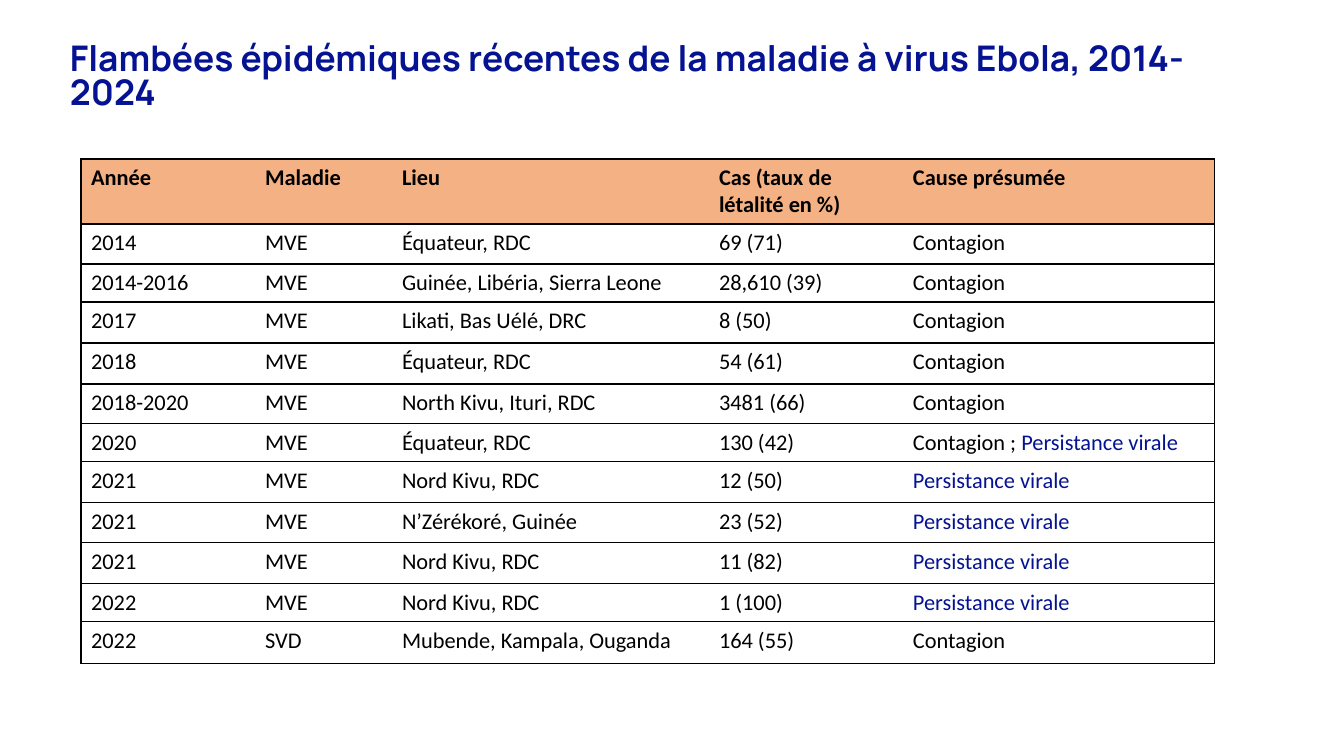
from lxml import etree
from pptx import Presentation
from pptx.dml.color import RGBColor
from pptx.enum.text import MSO_ANCHOR
from pptx.oxml.ns import qn
from pptx.util import Pt

EMU_PER_PX = 914400 / 100.8
MIDDLE = MSO_ANCHOR.MIDDLE
BLANK_LAYOUT = 6

NAVY = RGBColor(0x05, 0x12, 0x91)
BLACK = RGBColor(0x00, 0x00, 0x00)
PEACH = RGBColor(0xF4, 0xB1, 0x83)

TITLE = "Flambées épidémiques récentes de la maladie à virus Ebola, 2014-2024"
TITLE_FONT = {"name": "Manrope", "size": Pt(25.2), "bold": True}
HEADER_FONT = {"name": "Calibri", "size": Pt(16), "bold": True}
BODY_FONT = {**HEADER_FONT, "bold": False}

PERSISTENCE = "Persistance virale"
COLUMN_WIDTHS = (174, 137, 317, 194, 312)
ROW_HEIGHTS = (65, 40, 38, 41, 41, 40, 38, 41, 40, 41, 38, 42)
OUTBREAKS = (
    ("Année", "Maladie", "Lieu", "Cas (taux de létalité en %)", "Cause présumée"),
    ("2014", "MVE", "Équateur, RDC", "69 (71)", "Contagion"),
    ("2014-2016", "MVE", "Guinée, Libéria, Sierra Leone", "28,610 (39)", "Contagion"),
    ("2017", "MVE", "Likati, Bas Uélé, DRC", "8 (50)", "Contagion"),
    ("2018", "MVE", "Équateur, RDC", "54 (61)", "Contagion"),
    ("2018-2020", "MVE", "North Kivu, Ituri, RDC", "3481 (66)", "Contagion"),
    ("2020", "MVE", "Équateur, RDC", "130 (42)", "Contagion ; " + PERSISTENCE),
    ("2021", "MVE", "Nord Kivu, RDC", "12 (50)", PERSISTENCE),
    ("2021", "MVE", "N’Zérékoré, Guinée", "23 (52)", PERSISTENCE),
    ("2021", "MVE", "Nord Kivu, RDC", "11 (82)", PERSISTENCE),
    ("2022", "MVE", "Nord Kivu, RDC", "1 (100)", PERSISTENCE),
    ("2022", "SVD", "Mubende, Kampala, Ouganda", "164 (55)", "Contagion"),
)


def px(length):
    return round(length * EMU_PER_PX)


def add_run(paragraph, text, font_format, color):
    run = paragraph.add_run()
    run.text = text
    for name, value in font_format.items():
        setattr(run.font, name, value)
    run.font.color.rgb = color


def add_title(slide):
    box = slide.shapes.add_textbox(px(60), px(40), px(1217), px(77))
    frame = box.text_frame
    frame.word_wrap = True
    frame.vertical_anchor = MIDDLE
    paragraph = frame.paragraphs[0]
    paragraph.line_spacing = 0.8
    add_run(paragraph, TITLE, TITLE_FONT, NAVY)


def set_borders(cell, visible_sides):
    """Draw a 1 pt black line on the given sides and none on the others."""
    properties = cell._tc.get_or_add_tcPr()
    for side in "LRTB":
        line = etree.SubElement(properties, qn(f"a:ln{side}"), w=str(Pt(1)))
        if side in visible_sides:
            fill = etree.SubElement(line, qn("a:solidFill"))
            etree.SubElement(fill, qn("a:srgbClr"), val=str(BLACK))
        else:
            etree.SubElement(line, qn("a:noFill"))


def fill_cell(cell, text, is_header):
    paragraph = cell.text_frame.paragraphs[0]
    font_format = HEADER_FONT if is_header else BODY_FONT
    plain, persistence, _ = text.partition(PERSISTENCE)
    for part, color in ((plain, BLACK), (persistence, NAVY)):
        if part:
            add_run(paragraph, part, font_format, color)
    if is_header:
        cell.fill.solid()
        cell.fill.fore_color.rgb = PEACH
    else:
        cell.fill.background()


def add_outbreak_table(slide):
    last_column = len(COLUMN_WIDTHS) - 1
    frame = slide.shapes.add_table(
        len(OUTBREAKS), len(COLUMN_WIDTHS), px(81), px(159),
        px(sum(COLUMN_WIDTHS)), px(sum(ROW_HEIGHTS)))
    table = frame.table
    table.horz_banding = False
    for column, width in zip(table.columns, COLUMN_WIDTHS):
        column.width = px(width)
    for row, height in zip(table.rows, ROW_HEIGHTS):
        row.height = px(height)
    for row_index, texts in enumerate(OUTBREAKS):
        for column_index, text in enumerate(texts):
            cell = table.cell(row_index, column_index)
            outer_sides = {0: "L", last_column: "R"}.get(column_index, "")
            set_borders(cell, "TB" + outer_sides)
            fill_cell(cell, text, is_header=row_index == 0)


def main():
    presentation = Presentation()
    presentation.slide_width = px(1344)
    presentation.slide_height = px(756)
    slide = presentation.slides.add_slide(presentation.slide_layouts[BLANK_LAYOUT])
    add_title(slide)
    add_outbreak_table(slide)
    presentation.save("out.pptx")


if __name__ == "__main__":
    main()
